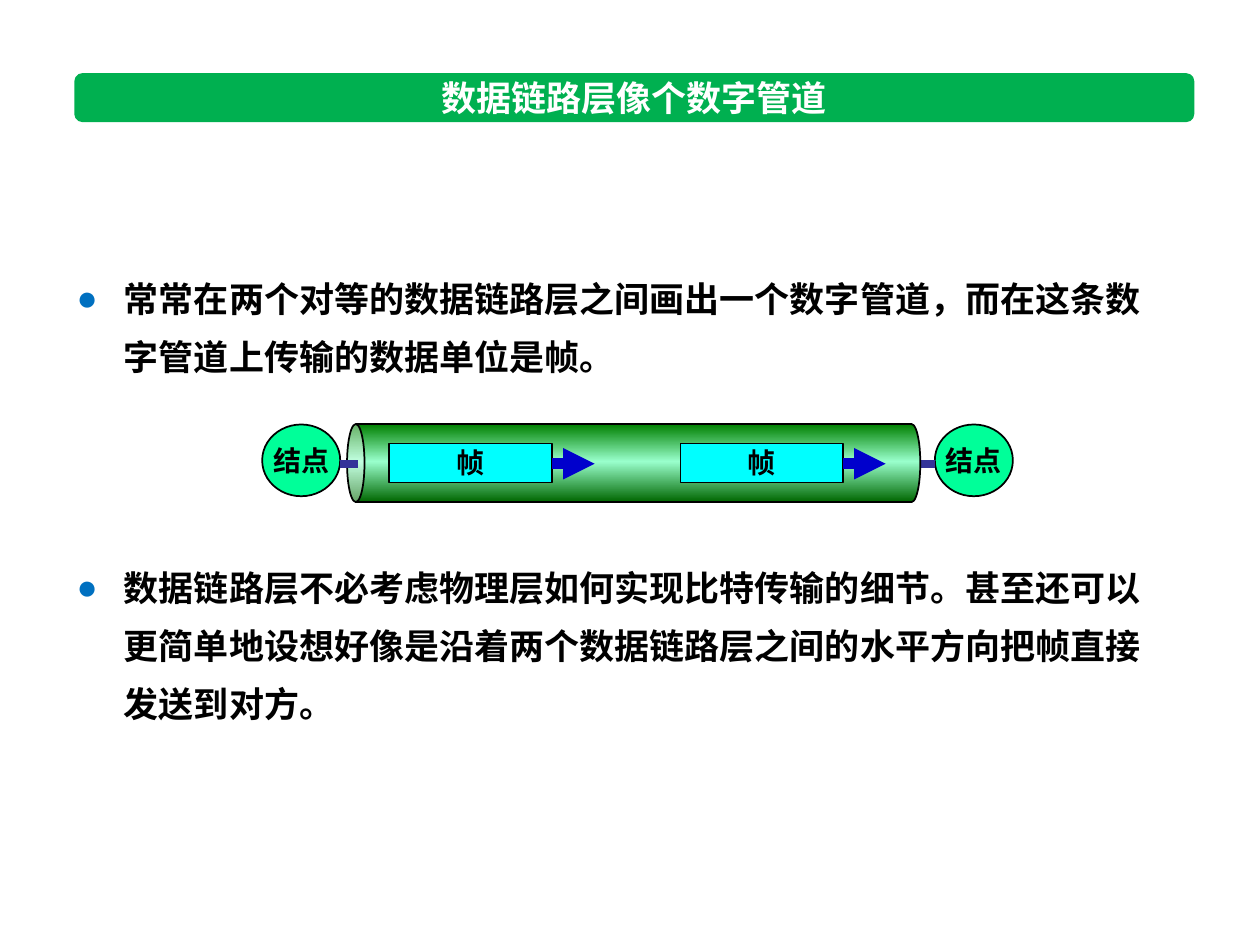
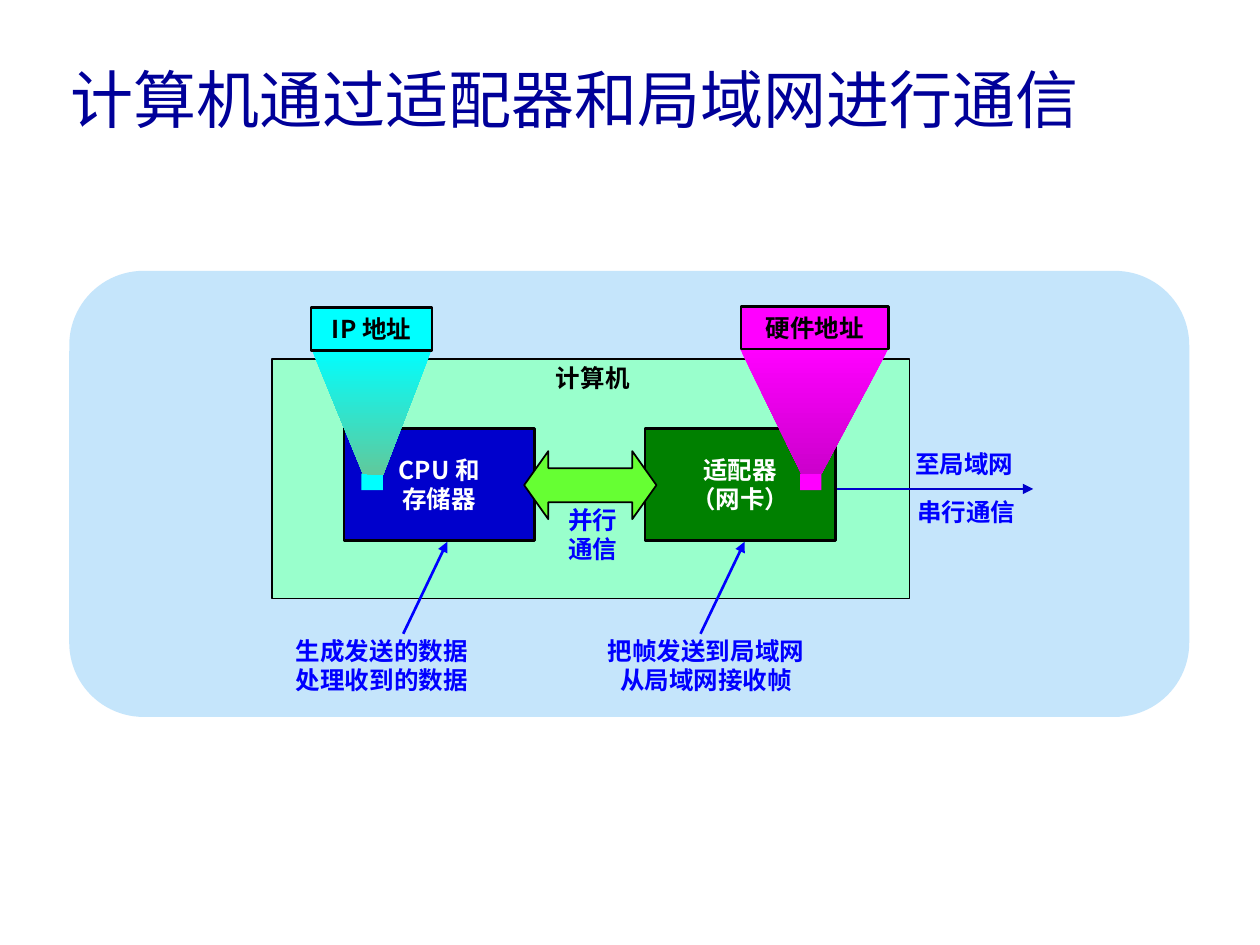
from dataclasses import dataclass

from lxml.etree import SubElement
from pptx import Presentation
from pptx.dml.color import RGBColor
from pptx.enum.shapes import MSO_CONNECTOR as CONN, MSO_SHAPE as SHAPE
from pptx.enum.text import MSO_ANCHOR as ANCHOR, MSO_AUTO_SIZE as AUTO, PP_ALIGN as ALIGN
from pptx.oxml.ns import qn
from pptx.util import Pt

# Shared style
FONT = "Noto Sans CJK SC"
LINE_RATIO = 1.18
BLACK = RGBColor(0x00, 0x00, 0x00)
WHITE = RGBColor(0xFF, 0xFF, 0xFF)
BAND_GREEN = RGBColor(0x00, 0xB0, 0x50)
BULLET_BLUE = RGBColor(0x00, 0x70, 0xC0)
NODE_GREEN = RGBColor(0x00, 0xFF, 0x99)
LINK_BLUE = RGBColor(0x33, 0x33, 0x99)
DARK_GREEN = RGBColor(0x00, 0x66, 0x00)
GREEN = RGBColor(0x00, 0x80, 0x00)
MINT = RGBColor(0x99, 0xFF, 0xCC)
CYAN = RGBColor(0x00, 0xFF, 0xFF)
TEAL = RGBColor(0x60, 0xC9, 0x9C)
DEEP_BLUE = RGBColor(0x00, 0x00, 0xCC)
BLUE = RGBColor(0x00, 0x00, 0xFF)
NAVY = RGBColor(0x00, 0x00, 0x99)
SKY = RGBColor(0xC5, 0xE5, 0xFB)
MAGENTA = RGBColor(0xFF, 0x00, 0xFF)
PURPLE = RGBColor(0xCC, 0x00, 0xCC)
LIME = RGBColor(0x66, 0xFF, 0x33)


@dataclass(frozen=True)
class Box:
    x: float
    y: float
    w: float
    h: float

    def emu(self) -> tuple:
        return Pt(self.x), Pt(self.y), Pt(self.w), Pt(self.h)


@dataclass(frozen=True)
class Label:
    text: str
    box: Box
    color: RGBColor = BLUE


@dataclass(frozen=True)
class Block:
    text: str
    box: Box
    fill: RGBColor
    color: RGBColor = BLACK


@dataclass(frozen=True)
class Funnel:
    color: RGBColor
    end_color: RGBColor
    points: tuple
    tip: Box


# Drawing functions
def write(tf, text: str, *, size: float, color: RGBColor, bold=True, align=ALIGN.CENTER,
          anchor=ANCHOR.MIDDLE, wrap=False, spacing=None, gap=0, bullet=None) -> None:
    """Fill a text frame, one paragraph for each line of text."""
    tf.word_wrap = wrap
    tf.auto_size = AUTO.NONE
    tf.vertical_anchor = anchor
    for i, line in enumerate(text.split("\n")):
        p = tf.paragraphs[0] if i == 0 else tf.add_paragraph()
        if bullet is not None:
            add_bullet(p, bullet)
        p.alignment = align
        p.line_spacing = Pt(spacing or size * LINE_RATIO)
        if i and gap:
            p.space_before = Pt(gap)
        r = p.add_run()
        r.text = line
        r.font.size, r.font.bold, r.font.name = Pt(size), bold, FONT
        r.font.color.rgb = color
        SubElement(r._r.get_or_add_rPr(), qn("a:ea"), typeface=FONT)


def add_bullet(p, color: RGBColor, indent: float = 27) -> None:
    pPr = p._p.get_or_add_pPr()
    pPr.set("marL", str(Pt(indent)))
    pPr.set("indent", str(-Pt(indent)))
    SubElement(SubElement(pPr, qn("a:buClr")), qn("a:srgbClr"), val=str(color))
    SubElement(pPr, qn("a:buFont"), typeface="Arial")
    SubElement(pPr, qn("a:buChar"), char="●")


def paint(sp, fill: RGBColor | None, line: float = 0) -> None:
    sp.shadow.inherit = False
    if fill is not None:
        sp.fill.solid()
        sp.fill.fore_color.rgb = fill
    if line:
        sp.line.color.rgb = BLACK
        sp.line.width = Pt(line)
    else:
        sp.line.fill.background()


def paint_gradient(sp, stops: list, angle: int, line: float = 0) -> None:
    paint(sp, None, line)
    sp.fill.gradient()
    grad = sp.element.spPr.find(qn("a:gradFill"))
    gs_list = grad.find(qn("a:gsLst"))
    for gs in list(gs_list):
        gs_list.remove(gs)
    for pos, color in stops:
        gs = SubElement(gs_list, qn("a:gs"), pos=str(pos * 1000))
        SubElement(gs, qn("a:srgbClr"), val=str(color))
    grad.find(qn("a:lin")).set("ang", str(angle * 60000))


def add_shape(s, kind, box: Box, fill: RGBColor | None = None, line: float = 0, adj=()):
    sp = s.shapes.add_shape(kind, *box.emu())
    for i, value in enumerate(adj):
        sp.adjustments[i] = value
    paint(sp, fill, line)
    return sp


def add_block(s, block: Block, size: float, line: float, kind=SHAPE.RECTANGLE) -> None:
    sp = add_shape(s, kind, block.box, block.fill, line)
    write(sp.text_frame, block.text, size=size, color=block.color)


def add_label(s, label: Label) -> None:
    tb = s.shapes.add_textbox(*label.box.emu())
    write(tb.text_frame, label.text, size=14, color=label.color)


def add_line(s, start: tuple, end: tuple, color: RGBColor, width: float, arrow=False) -> None:
    c = s.shapes.add_connector(CONN.STRAIGHT, *map(Pt, start + end))
    c.line.color.rgb = color
    c.line.width = Pt(width)
    if arrow:
        SubElement(c.line._get_or_add_ln(), qn("a:tailEnd"), type="triangle")
    SubElement(c.element.spPr, qn("a:effectLst"))


def add_funnel(s, f: Funnel) -> None:
    add_shape(s, SHAPE.RECTANGLE, f.tip, f.color)
    first, *rest = [(Pt(x), Pt(y)) for x, y in f.points]
    fb = s.shapes.build_freeform(*first, scale=1.0)
    fb.add_line_segments(rest, close=True)
    paint_gradient(fb.convert_to_shape(), [(0, f.color), (100, f.end_color)], 90)


def add_titled_slide(prs, title: str, box: Box, **fmt):
    s = prs.slides.add_slide(prs.slide_layouts[5])
    sp = s.shapes.title
    sp.left, sp.top, sp.width, sp.height = box.emu()
    write(sp.text_frame, title, **fmt)
    return s


# Slide 1: the data link layer as a pipe
def build_pipe_slide(prs) -> None:
    s = add_titled_slide(prs, "数据链路层像个数字管道", Box(241, 40, 242.5, 31.7),
                         size=20, color=WHITE)
    band = add_shape(s, SHAPE.ROUNDED_RECTANGLE, Box(42.5, 41.8, 640, 28), BAND_GREEN)
    s.shapes.title.element.addprevious(band.element)

    body = s.shapes.add_textbox(*Box(36.7, 146.2, 640, 273.6).emu())
    write(body.text_frame,
          "常常在两个对等的数据链路层之间画出一个数字管道，而在这条数字管道上传输的数据单位是帧。\n"
          "数据链路层不必考虑物理层如何实现比特传输的细节。甚至还可以更简单地设想好像是"
          "沿着两个数据链路层之间的水平方向把帧直接发送到对方。",
          size=20, color=BLACK, align=ALIGN.LEFT, anchor=ANCHOR.TOP, wrap=True,
          spacing=33, gap=99, bullet=BULLET_BLUE)

    # Nodes, link and pipe
    axis, link_start, link_end = 265, 194.4, 534.2
    for x in (149.8, link_end):
        add_block(s, Block("结点", Box(x, 242.6, 44.6, 41), NODE_GREEN), 16, 1, SHAPE.OVAL)
    add_line(s, (link_start, axis), (link_end, axis), LINK_BLUE, 4.5)
    pipe = add_shape(s, SHAPE.CAN, Box(339.8, 100.8, 44.6, 327.6), adj=(0.224,))
    pipe.rotation = 270
    paint_gradient(pipe, [(0, DARK_GREEN), (52, MINT), (100, GREEN)], 0, 1)
    add_line(s, (link_start, axis), (204.5, axis), LINK_BLUE, 4.5)

    # Frames travelling through the pipe
    frame_w = 92.9
    for x in (222.5, 388.8):
        add_block(s, Block("帧", Box(x, 253.4, frame_w, 22.3), CYAN), 16, 1)
        right = x + frame_w
        add_line(s, (right, axis), (right + 24.4, axis), DEEP_BLUE, 6, arrow=True)


# Slide 2: computer, adapter and local network
LABELS = [
    Label("至局域网", Box(515.5, 252.7, 71.3, 24.5)),
    Label("串行通信", Box(516.5, 280.1, 71.3, 24.5)),
    Label("生成发送的数据\n处理收到的数据", Box(161.3, 360, 113.8, 41)),
    Label("把帧发送到局域网\n从局域网接收帧", Box(339.8, 360, 127.4, 41)),
    Label("计算机", Box(310.3, 203.8, 56.9, 24.5), BLACK),
    Label("并行\n通信", Box(317.5, 285.8, 42.5, 39.6)),
]
UNITS = [
    Block("适配器\n（网卡）", Box(368.6, 244.8, 108.7, 64.1), GREEN, WHITE),
    Block("CPU 和\n存储器", Box(196.6, 244.8, 108.7, 64.1), DEEP_BLUE, WHITE),
]
FUNNELS = [
    Funnel(CYAN, TEAL, ((177.8, 198.7), (247, 198.7), (218.9, 271.4), (207.4, 270.7)),
           Box(206.6, 270.7, 12.2, 9.4)),
    Funnel(MAGENTA, PURPLE, ((422.6, 198.7), (507.6, 199.4), (469.4, 270.7), (457.9, 270.7)),
           Box(457.2, 270.7, 12.2, 9.4)),
]
ADDRESSES = [
    Block("硬件地址", Box(423.4, 175, 84.2, 24.5), MAGENTA),
    Block("IP 地址", Box(177.8, 175.7, 69.1, 24.5), CYAN),
]


def build_adapter_slide(prs) -> None:
    s = add_titled_slide(prs, "计算机通过适配器和局域网进行通信", Box(33.1, 27.4, 646.6, 90),
                         size=36, color=NAVY, bold=False, align=ALIGN.LEFT,
                         anchor=ANCHOR.TOP, wrap=True, spacing=47)
    # Background panel and computer
    add_shape(s, SHAPE.ROUNDED_RECTANGLE, Box(39.6, 154.8, 640, 254.9), SKY)
    add_shape(s, SHAPE.RECTANGLE, Box(155.5, 205.2, 364.3, 136.8), MINT, 0.75)

    # Units and the arrows that lead to and from them
    add_line(s, (475.2, 279.4), (590.4, 279.4), DEEP_BLUE, 1.5, arrow=True)
    for unit in UNITS:
        add_block(s, unit, 14, 1.5)
    for x in (230.4, 400.3):
        add_line(s, (x, 362.2), (x + 25.2, 309.6), BLUE, 1.5, arrow=True)
    add_shape(s, SHAPE.LEFT_RIGHT_ARROW, Box(299.5, 257.8, 75.6, 38.9), LIME, 1, (0.5, 0.355))
    for label in LABELS:
        add_label(s, label)

    # Addresses and where they are held
    for funnel in FUNNELS:
        add_funnel(s, funnel)
    for address in ADDRESSES:
        add_block(s, address, 14, 1.5)


def main() -> None:
    prs = Presentation()
    prs.slide_width, prs.slide_height = Pt(720), Pt(540)
    build_pipe_slide(prs)
    build_adapter_slide(prs)
    prs.save("out.pptx")


if __name__ == "__main__":
    main()
